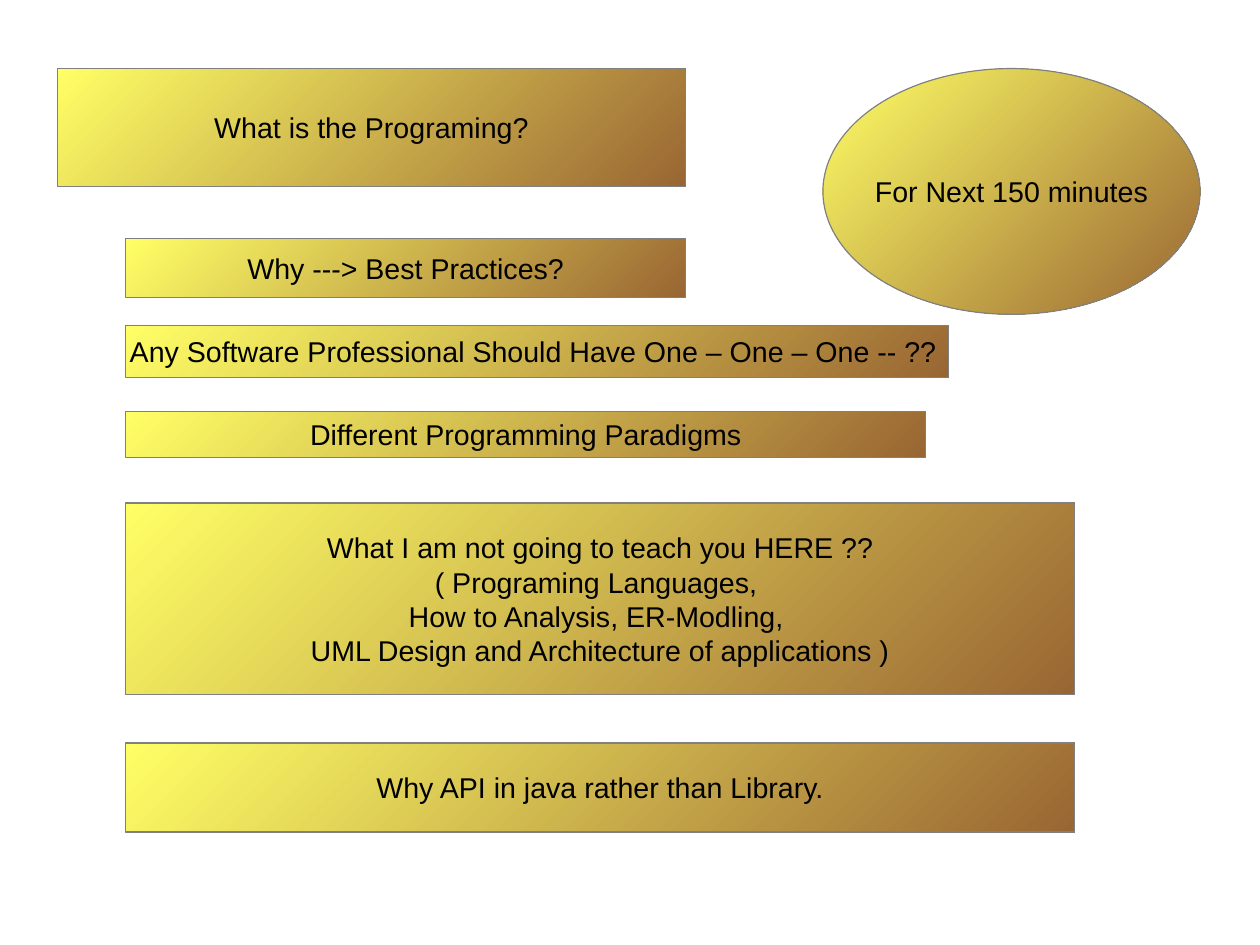
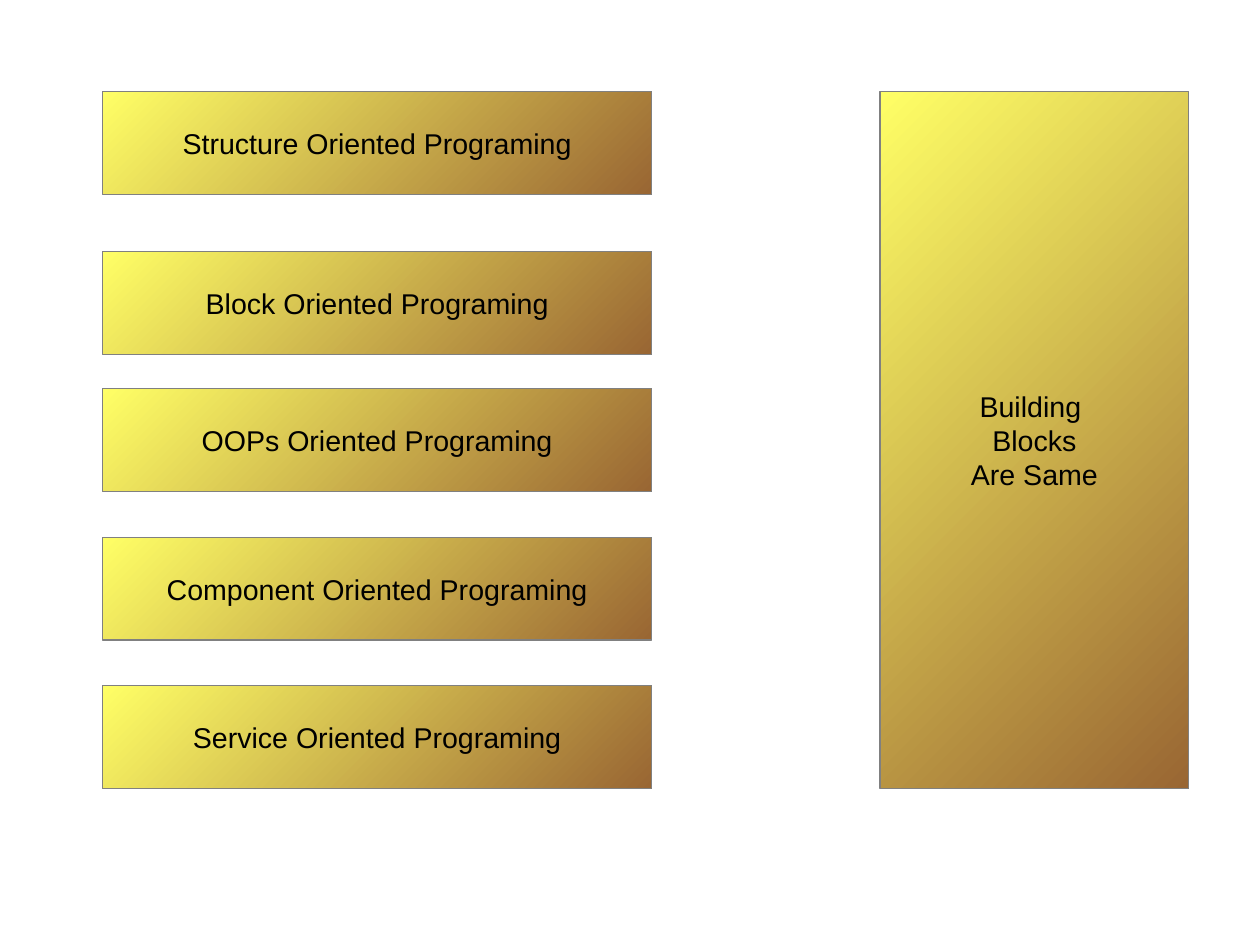
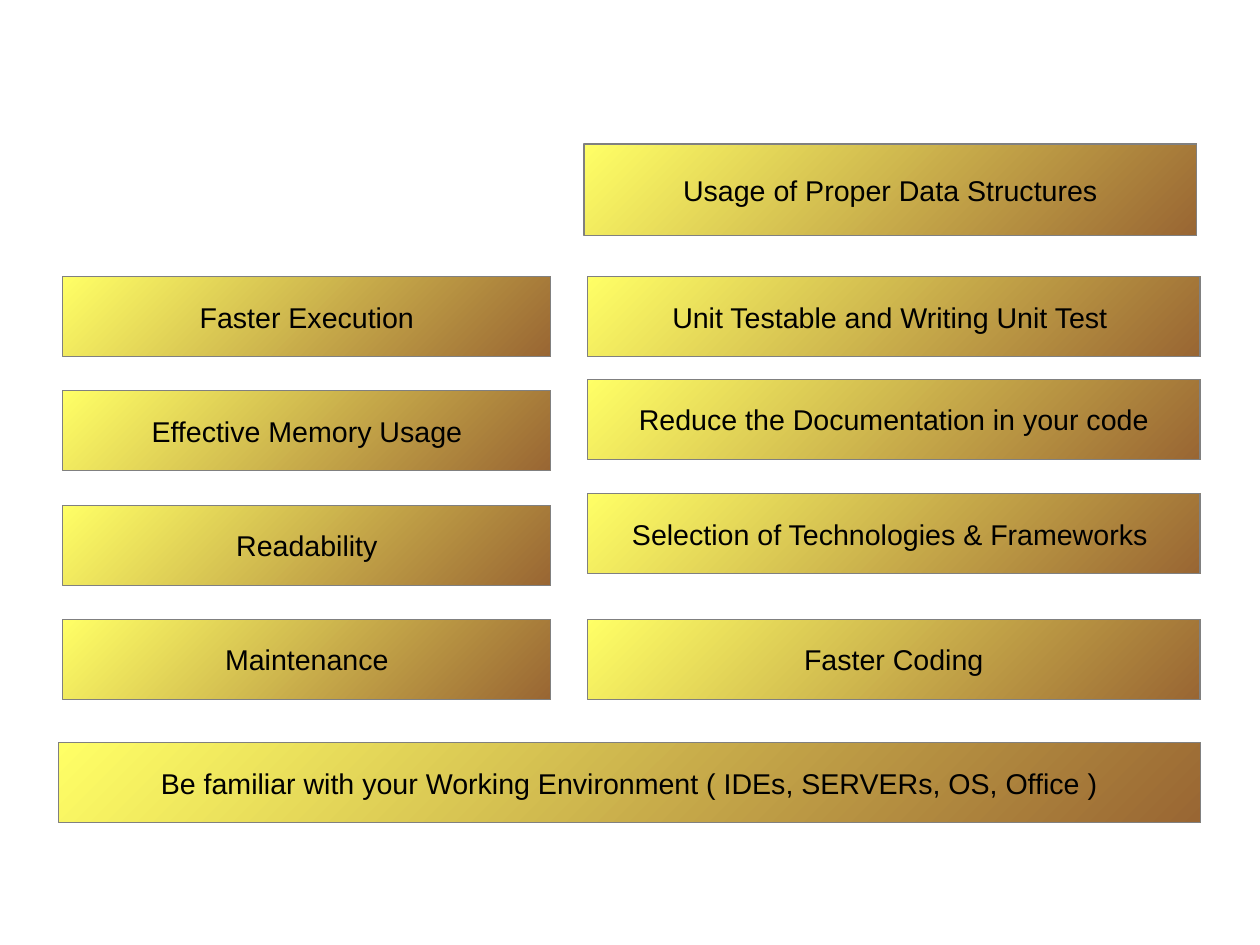
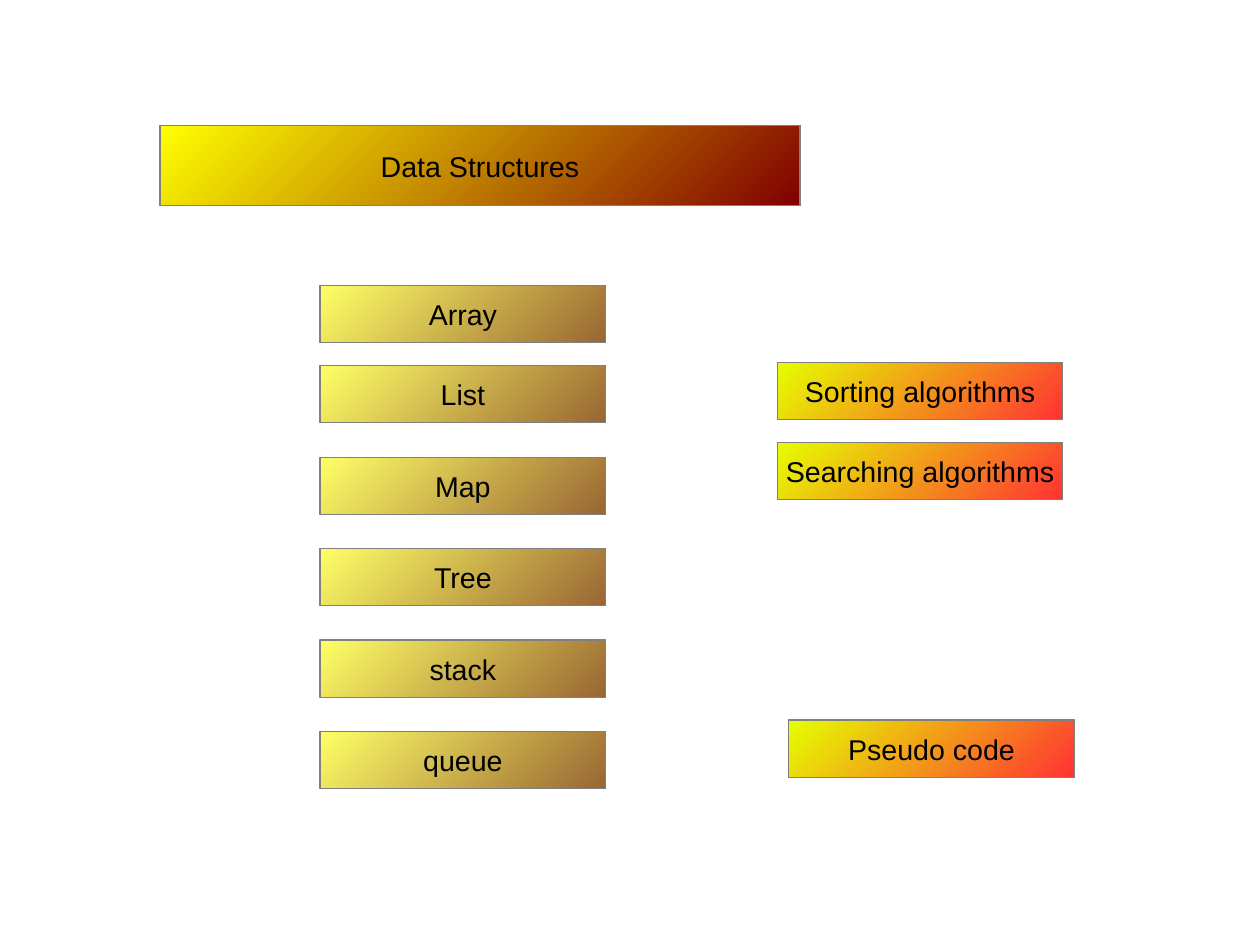
from pptx import Presentation
from pptx import util as u
from pptx.dml.color import RGBColor
from pptx.enum import shapes, text

PALE_YELLOW = RGBColor(0xFF, 0xFF, 0x66)
BROWN = RGBColor(0x99, 0x66, 0x33)
YELLOW = RGBColor(0xFF, 0xFF, 0x00)
MAROON = RGBColor(0x80, 0x00, 0x00)
LIME = RGBColor(0xE6, 0xFF, 0x00)
RED = RGBColor(0xFF, 0x33, 0x33)
GREY = RGBColor(0x80, 0x80, 0x80)
BLACK = RGBColor(0x00, 0x00, 0x00)

GOLD_BLEND = (PALE_YELLOW, BROWN)
HEADING_BLEND = (YELLOW, MAROON)
ALGORITHM_BLEND = (LIME, RED)

RECTANGLE = shapes.MSO_SHAPE.RECTANGLE
OVAL = shapes.MSO_SHAPE.OVAL


def write(frame, words, size=18, font="Arial", color=BLACK):
    """Write centred, unwrapped text: a newline starts a paragraph, a vertical tab a line."""
    frame.word_wrap = False
    frame.vertical_anchor = text.MSO_ANCHOR.MIDDLE
    for index, sentence in enumerate(words.split("\n")):
        para = frame.add_paragraph() if index else frame.paragraphs[0]
        para.alignment = text.PP_ALIGN.CENTER
        for number, line in enumerate(sentence.split("\v")):
            if number:
                para.add_line_break()
            span = para.add_run()
            span.text = line
            span.font.size = u.Pt(size)
            span.font.name = font
            span.font.color.rgb = color


def panel(page, box, words, blend=GOLD_BLEND, outline=RECTANGLE):
    """Place a labelled shape with a diagonal gradient in the given box."""
    shape = page.shapes.add_shape(outline, *(u.Inches(length) for length in box))
    shape.shadow.inherit = False
    shape.fill.gradient()
    shape.fill.gradient_angle = 315
    for stop, color in zip(shape.fill.gradient_stops, blend):
        stop.color.rgb = color
    shape.line.color.rgb = GREY
    shape.line.width = u.Pt(0.75)
    write(shape.text_frame, words)


def column(page, box, rows, blend=GOLD_BLEND):
    """Place equal panels down a column, each at its offset from the top."""
    left, top, width, height = box
    for offset, words in rows:
        panel(page, (left, top + offset, width, height), words, blend)


def agenda_slide(page):
    """Place the session questions and the duration oval."""
    left = 1.1
    panel(page, (0.5, 0.6, 5.5, 1.03), "What is the Programing?")
    for top, width, height, words in (
        (2.09, 4.9, 0.51, "Why ---> Best Practices?"),
        (2.85, 7.2, 0.45, "Any Software Professional Should Have One – One – One -- ?? "),
        (3.6, 7, 0.4, "Different Programming Paradigms"),
        (4.4, 8.3, 1.68, "What I am not going to teach you HERE ??\n"
                         "( Programing Languages, \n"
                         "How to Analysis, ER-Modling, \v"
                         "UML Design and Architecture of applications )"),
        (6.5, 8.3, 0.78, "Why API in java rather than Library."),
    ):
        panel(page, (left, top, width, height), words)
    panel(page, (7.2, 0.6, 3.3, 2.15), "For Next 150 minutes", outline=OVAL)


def paradigms_slide(page):
    """Place the five paradigms beside their shared building blocks."""
    kinds = ((0, "Structure"), (1.4, "Block"), (2.6, "OOPs"),
             (3.9, "Component"), (5.2, "Service"))
    column(page, (0.9, 0.8, 4.8, 0.9),
           [(offset, f"{kind} Oriented Programing") for offset, kind in kinds])
    panel(page, (7.7, 0.8, 2.7, 6.1), "Building \nBlocks\nAre Same")


def practices_slide(page):
    """Place the two columns of best practices and the wide closing bar."""
    goals = ("Faster Execution", "Effective Memory Usage", "Readability", "Maintenance")
    column(page, (0.55, 2.42, 4.27, 0.7), enumerate(goals))
    column(page, (5.14, 2.42, 5.36, 0.7), (
        (0, "Unit Testable and Writing Unit Test "),
        (0.9, "Reduce the Documentation in your code"),
        (1.9, "Selection of Technologies & Frameworks "),
        (3, "Faster Coding"),
    ))
    panel(page, (0.51, 6.5, 9.99, 0.7),
          "Be familiar with your Working Environment ( IDEs, SERVERs, OS, Office )")
    panel(page, (5.11, 1.26, 5.36, 0.8), "Usage of Proper Data Structures")


def structures_slide(page):
    """Place the data structures, the algorithms and the pseudo code panel."""
    panel(page, (1.4, 1.1, 5.6, 0.7), "Data Structures", HEADING_BLEND)
    panel(page, (2.8, 2.5, 2.5, 0.5), "Array")
    names = ("List", "Map", "Tree", "stack", "queue")
    column(page, (2.8, 3.2, 2.5, 0.5),
           [(0.8 * index, name) for index, name in enumerate(names)])
    column(page, (6.8, 3.17, 2.5, 0.5),
           ((0, "Sorting algorithms"), (0.7, "Searching algorithms")), ALGORITHM_BLEND)
    panel(page, (6.9, 6.3, 2.5, 0.5), "Pseudo code", ALGORITHM_BLEND)


def main():
    """Build the deck and save it."""
    deck = Presentation()
    deck.slide_width = u.Cm(28)
    deck.slide_height = u.Cm(21)
    blank = deck.slide_layouts[6]
    for build in (agenda_slide, paradigms_slide, practices_slide, structures_slide):
        build(deck.slides.add_slide(blank))
    deck.save("out.pptx")


if __name__ == "__main__":
    main()
